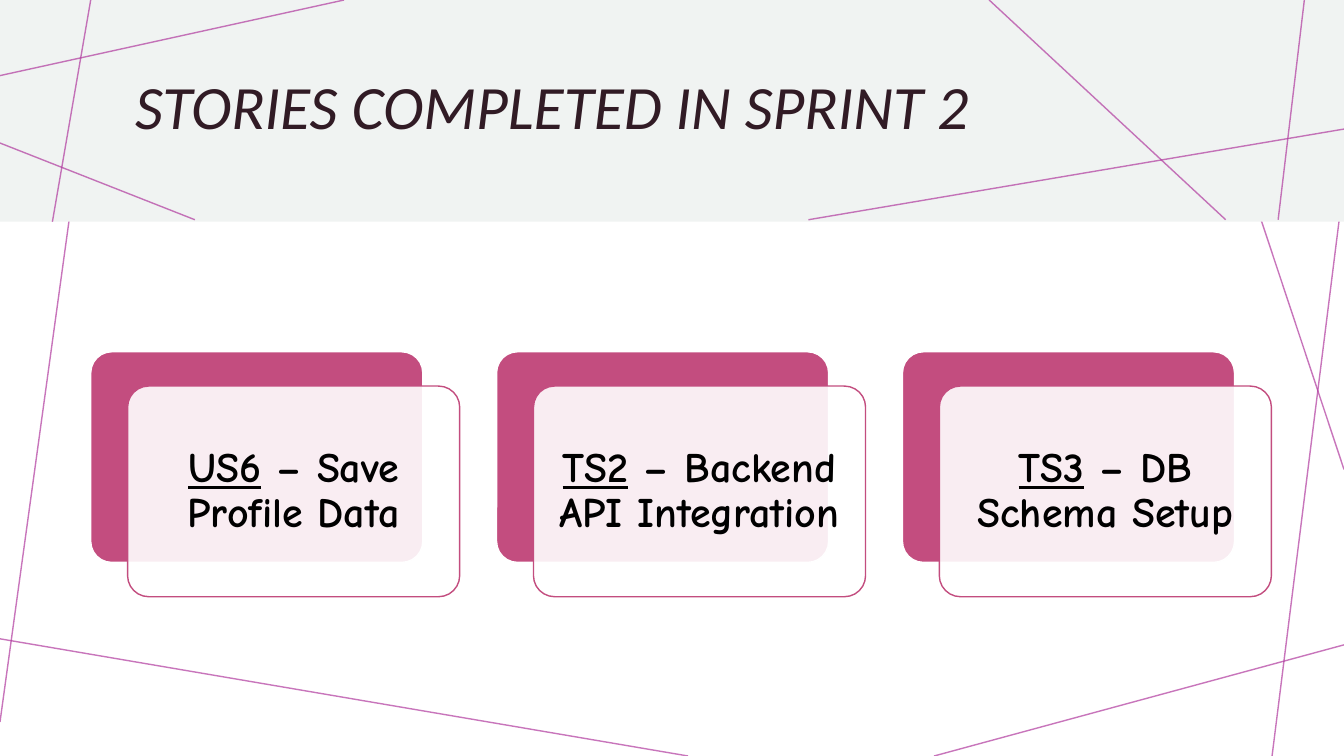
from dataclasses import dataclass

from lxml import etree
from pptx import Presentation
from pptx import util as u
from pptx.dml.color import RGBColor
from pptx.enum import shapes, text
from pptx.oxml.ns import qn


@dataclass(frozen=True)
class Theme:
    """Colours, fonts and type sizes of the deck."""
    band: str = "F0F3F2"
    ray: str = "B13B9F"
    accent: str = "C34D7F"
    paper: str = "FFFFFF"
    title_ink: str = "311B25"
    story_ink: str = "000000"
    title_font: str = "Calibri"
    story_font: str = "Comic Neue"
    title_size: int = 44
    story_size: int = 30


@dataclass(frozen=True)
class Box:
    """A region in inches."""
    left: float
    top: float
    width: float
    height: float

    def share(self, x, y, width, height):
        """Return the region at the given shares of this one."""
        return Box(self.left + x * self.width, self.top + y * self.height,
                   width * self.width, height * self.height)

    def point(self, x, y):
        """Return the point at the given percentages of this region."""
        return (u.Inches(self.left + x * self.width / 100),
                u.Inches(self.top + y * self.height / 100))

    def emu(self):
        """Return left, top, width and height as lengths."""
        return [u.Inches(side) for side in (self.left, self.top, self.width, self.height)]


THEME = Theme()
SLIDE = Box(0, 0, 13.33, 7.5)
BAND = Box(0, 0, SLIDE.width, 2.2)
STORY_ROW = Box(0.9, 3.49, 11.71, 2.43)
GAP = 0.1

PAGE_RAYS = [
    ((25.6, 0), (0, 10)),
    ((7.4, 0), (0, 95.5)),
    ((51.2, 100), (0, 84.5)),
    ((100, 85.3), (69.5, 100)),
    ((100, 24), (94.65, 100)),
    ((100, 62.1), (88.4, 0)),
    ((100, 13.5), (53.5, 0)),
]
BAND_RAYS = [
    ((25.6, 0), (0, 34.1)),
    ((6.75, 0), (3.9, 100)),
    ((14.5, 99.1), (0, 64.5)),
    ((100, 58.2), (60.15, 99.1)),
    ((91.2, 99.1), (73.6, 0)),
    ((97.05, 0), (95.1, 99.1)),
]
STORIES = [
    ("US6", "Save Profile Data"),
    ("TS2", "Backend API Integration"),
    ("TS3", "DB Schema Setup"),
]


def rgb(code):
    """Return a colour from its hex code."""
    return RGBColor.from_string(code)


def set_opacity(shape, percent):
    """Make the first solid colour of a shape partly transparent."""
    colour = shape.element.spPr.find(".//" + qn("a:srgbClr"))
    etree.SubElement(colour, qn("a:alpha")).set("val", str(percent * 1000))


def add_rays(slide, box, rays):
    """Draw thin decorative lines across a region."""
    for start, end in rays:
        ray = slide.shapes.add_connector(
            shapes.MSO_CONNECTOR.STRAIGHT, *box.point(*start), *box.point(*end))
        ray.line.color.rgb = rgb(THEME.ray)
        ray.line.width = u.Pt(1)
        set_opacity(ray, 70)
        etree.SubElement(ray.element.spPr, qn("a:effectLst"))


def add_panel(slide, box, kind, fill, outline=None):
    """Add a flat filled shape, outlined on request."""
    panel = slide.shapes.add_shape(kind, *box.emu())
    panel.shadow.inherit = False
    panel.fill.solid()
    panel.fill.fore_color.rgb = rgb(fill)
    if outline:
        panel.line.color.rgb = rgb(outline)
        panel.line.width = u.Pt(1)
        panel.adjustments[0] = 0.1
    else:
        panel.line.fill.background()
    return panel


def add_header(slide, box, heading):
    """Fill the top band with its rays and the slide title."""
    add_panel(slide, box, shapes.MSO_SHAPE.RECTANGLE, THEME.band)
    add_rays(slide, box, BAND_RAYS)
    title = slide.shapes.title
    title.element.getparent().append(title.element)
    title.left, title.top, title.width, title.height = box.share(
        0.09, 0.25, 0.83, 0.49).emu()
    frame = title.text_frame
    frame.text = heading
    frame.margin_left = u.Inches(0.14)
    frame.vertical_anchor = text.MSO_ANCHOR.MIDDLE
    line = frame.paragraphs[0]
    line.alignment = text.PP_ALIGN.LEFT
    line.line_spacing = 0.9
    font = line.runs[0].font
    font.name, font.size, font.italic = THEME.title_font, u.Pt(THEME.title_size), True
    font.color.rgb = rgb(THEME.title_ink)


def add_story(slide, box, code, summary):
    """Add a story card: a solid back and a translucent labelled front."""
    rounded = shapes.MSO_SHAPE.ROUNDED_RECTANGLE
    add_panel(slide, box.share(0, 0, 0.9, 0.86), rounded, THEME.accent, THEME.paper)
    front = add_panel(slide, box.share(0.1, 0.14, 0.9, 0.86), rounded,
                      THEME.paper, THEME.accent)
    set_opacity(front, 90)
    frame = front.text_frame
    frame.word_wrap = True
    frame.vertical_anchor = text.MSO_ANCHOR.MIDDLE
    frame.margin_left = frame.margin_right = u.Inches(0.12)
    frame.margin_top = frame.margin_bottom = u.Inches(0.12)
    label = frame.paragraphs[0]
    label.alignment = text.PP_ALIGN.CENTER
    label.line_spacing = 0.9
    for words, underlined in ((code, True), (f" – {summary}", False)):
        run = label.add_run()
        run.text = words
        font = run.font
        font.name, font.size = THEME.story_font, u.Pt(THEME.story_size)
        font.bold, font.underline = True, underlined
        font.color.rgb = rgb(THEME.story_ink)


def add_stories(slide, box, stories):
    """Spread story cards evenly over a row."""
    card = 1 / (len(stories) + GAP * (len(stories) - 1))
    for column, (code, summary) in enumerate(stories):
        add_story(slide, box.share(column * card * (1 + GAP), 0, card, 1), code, summary)


def main():
    """Build and save the slide."""
    deck = Presentation()
    deck.slide_width, deck.slide_height = u.Inches(SLIDE.width), u.Inches(SLIDE.height)
    slide = deck.slides.add_slide(deck.slide_layouts[5])
    add_rays(slide, SLIDE, PAGE_RAYS)
    add_header(slide, BAND, "STORIES COMPLETED IN SPRINT 2")
    add_stories(slide, STORY_ROW, STORIES)
    deck.save("out.pptx")


if __name__ == "__main__":
    main()
